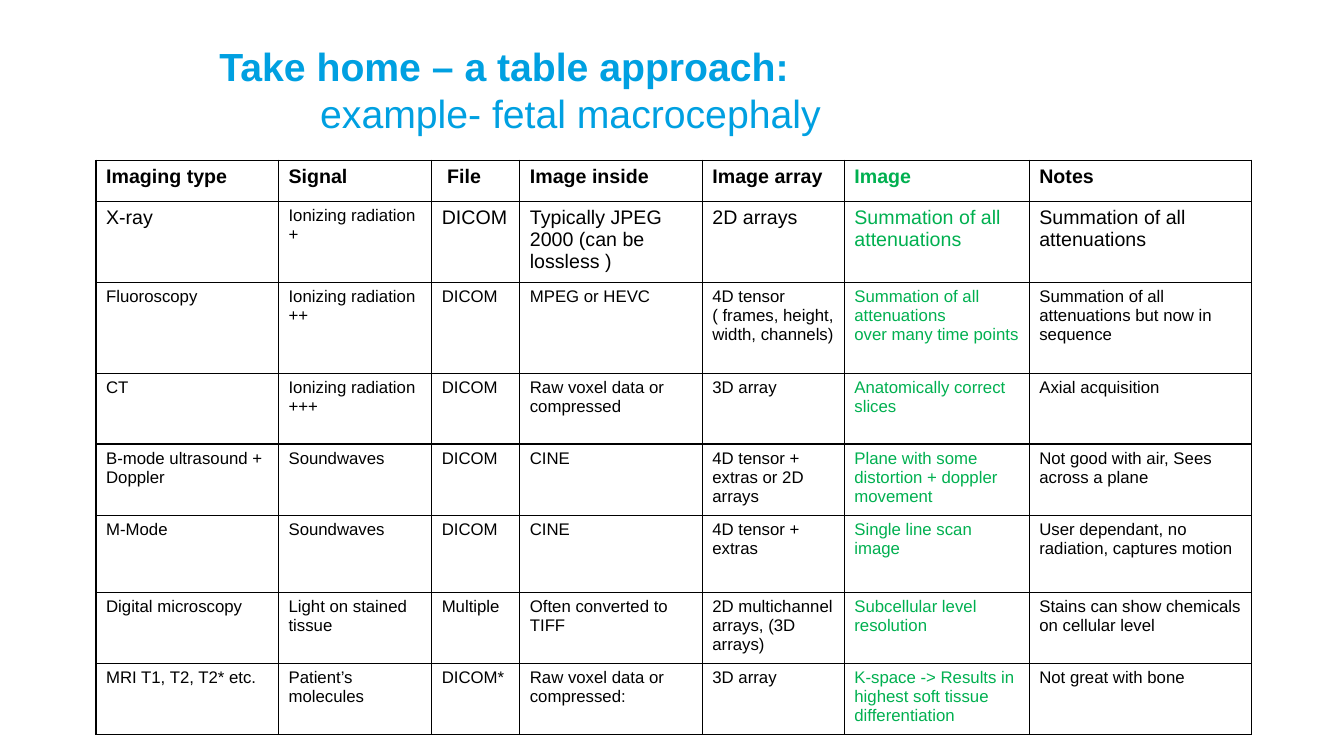
from lxml.etree import SubElement
from pptx import Presentation
from pptx.dml.color import RGBColor
from pptx.enum.text import MSO_AUTO_SIZE
from pptx.oxml.ns import qn
from pptx.util import Cm, Pt

BLUE = RGBColor(0x00, 0xA0, 0xE1)
GREEN = RGBColor(0x00, 0xB0, 0x50)
BLACK = RGBColor(0x00, 0x00, 0x00)
WHITE = RGBColor(0xFF, 0xFF, 0xFF)

SIGNAL_COLUMN = 1
IMAGE_COLUMN = 5
COLUMN_WIDTHS = [4.6, 3.86, 2.22, 4.6, 3.58, 4.66, 5.61]
ROW_HEIGHTS = [1.04, 2.04, 2.29, 1.78, 1.79, 1.94, 1.79, 1.79]
ROWS = [
    ["Imaging type", "Signal", " File", "Image inside", "Image array", "Image", "Notes"],
    ["X-ray", "Ionizing radiation +", "DICOM", "Typically JPEG 2000 (can be lossless )",
     "2D arrays", "Summation of all attenuations", "Summation of all attenuations"],
    ["Fluoroscopy", "Ionizing radiation ++", "DICOM", "MPEG or HEVC",
     "4D tensor ( frames, height, width, channels)",
     "Summation of all attenuations\nover many time points",
     "Summation of all attenuations but now in sequence"],
    ["CT", "Ionizing radiation\n+++", "DICOM", "Raw voxel data or compressed",
     "3D array", "Anatomically correct slices", "Axial acquisition"],
    ["B-mode ultrasound + Doppler", "Soundwaves", "DICOM", "CINE",
     "4D tensor + extras or 2D arrays", "Plane with some distortion + doppler movement",
     "Not good with air, Sees across a plane"],
    ["M-Mode", "Soundwaves", "DICOM", "CINE", "4D tensor + extras",
     "Single line scan image", "User dependant, no radiation, captures motion"],
    ["Digital microscopy", "Light on stained tissue", "Multiple", "Often converted to TIFF",
     "2D multichannel arrays, (3D arrays)", "Subcellular level resolution",
     "Stains can show chemicals on cellular level"],
    ["MRI T1, T2, T2* etc.", "Patient’s molecules", "DICOM*",
     "Raw voxel data or compressed:", "3D array",
     "K-space -> Results in highest soft tissue differentiation", "Not great with bone"],
]


def format_text(frame, size, color, bold):
    for para in frame.paragraphs:
        for span in para.runs:
            for name, value in {"name": "Arial", "size": Pt(size), "bold": bold}.items():
                setattr(span.font, name, value)
            span.font.color.rgb = color


def add_borders(cell):
    properties = cell._tc.get_or_add_tcPr()
    for side in ("a:lnL", "a:lnR", "a:lnT", "a:lnB"):
        line = SubElement(properties, qn(side), w=str(Pt(1)))
        fill = SubElement(line, qn("a:solidFill"))
        SubElement(fill, qn("a:srgbClr"), val=str(BLACK))


deck = Presentation()
deck.slide_width, deck.slide_height = Cm(33.87), Cm(19.05)
page = deck.slides.add_slide(deck.slide_layouts[6])

title = page.shapes.add_textbox(Cm(5.28), Cm(0.94), Cm(23.85), Cm(2.64)).text_frame
title.word_wrap = True
title.auto_size = MSO_AUTO_SIZE.SHAPE_TO_FIT_TEXT
title.text = "Take home – a table approach:\n\t\texample- fetal macrocephaly "
format_text(title, 28, BLUE, True)
title.paragraphs[1].runs[0].font.bold = False

table = page.shapes.add_table(
    len(ROWS), len(COLUMN_WIDTHS), Cm(2.42), Cm(4.04),
    Cm(sum(COLUMN_WIDTHS)), Cm(sum(ROW_HEIGHTS))).table
table.first_row = False
table.horz_banding = False
for column, width in zip(table.columns, COLUMN_WIDTHS):
    column.width = Cm(width)
for row, height in zip(table.rows, ROW_HEIGHTS):
    row.height = Cm(height)

for row_number, texts in enumerate(ROWS):
    for column_number, text in enumerate(texts):
        cell = table.cell(row_number, column_number)
        add_borders(cell)
        cell.fill.solid()
        cell.fill.fore_color.rgb = WHITE
        cell.text = text
        is_header = row_number == 0
        is_large = is_header or (row_number == 1 and column_number != SIGNAL_COLUMN)
        color = GREEN if column_number == IMAGE_COLUMN else BLACK
        format_text(cell.text_frame, 14 if is_large else 12, color, is_header)

deck.save("out.pptx")
